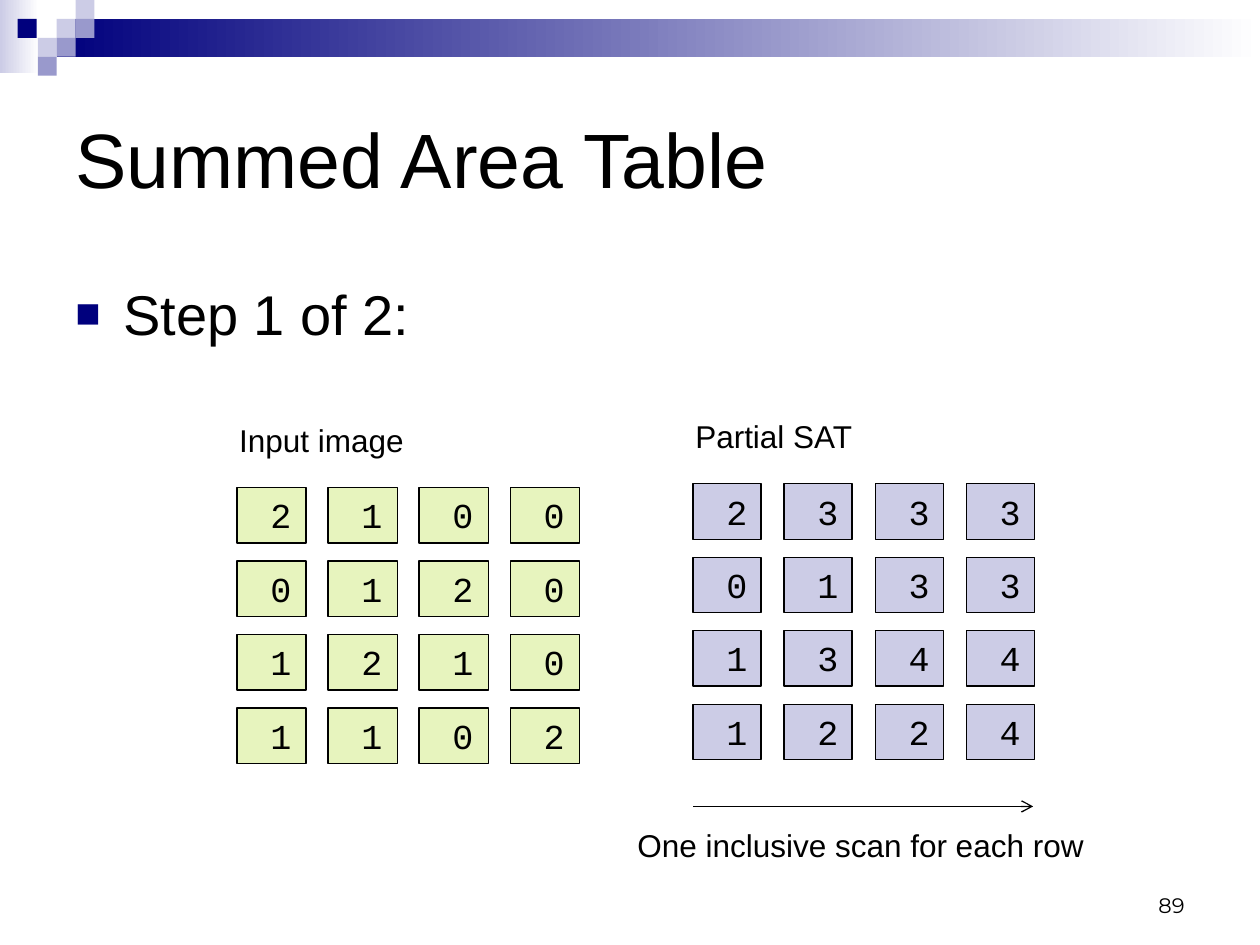
"""Build the slide on the first step of a summed area table."""
from lxml import etree
from pptx import Presentation
from pptx.dml.color import RGBColor
from pptx.enum import shapes, text
from pptx.oxml import ns
from pptx.util import Inches, Pt

BLACK = RGBColor(0x00, 0x00, 0x00)
WHITE = RGBColor(0xFF, 0xFF, 0xFF)
NAVY = RGBColor(0x00, 0x00, 0x7D)
MID = RGBColor(0x99, 0x99, 0xCC)
PALE = RGBColor(0xCC, 0xCC, 0xE6)
LIME = RGBColor(0xE7, 0xF4, 0xBE)
LEFT, RIGHT = text.PP_ALIGN.LEFT, text.PP_ALIGN.RIGHT
TOP, MIDDLE, BOTTOM = (text.MSO_ANCHOR.TOP, text.MSO_ANCHOR.MIDDLE,
                       text.MSO_ANCHOR.BOTTOM)


def write(shape, words, size, face="Arial", side=LEFT, anchor=TOP, wrap=True):
    frame = shape.text_frame
    frame.text = words
    para = frame.paragraphs[0]
    para.alignment = side
    for name, value in {"word_wrap": wrap, "vertical_anchor": anchor}.items():
        setattr(frame, name, value)
    font = para.runs[0].font
    for name, value in {"size": Pt(size), "name": face}.items():
        setattr(font, name, value)
    font.color.rgb = BLACK
    return para


def block(left, top, width, height, color, fade=False):
    shape = slide.shapes.add_shape(
        shapes.MSO_SHAPE.RECTANGLE, *map(Inches, (left, top, width, height)))
    shape.shadow.inherit = False
    shape.line.fill.background()
    if fade:
        shape.fill.gradient()
        shape.fill.gradient_angle = 0
        for stop, tone in zip(shape.fill.gradient_stops, (color, WHITE)):
            stop.color.rgb = tone
    else:
        shape.fill.solid()
        shape.fill.fore_color.rgb = color
    return shape


deck = Presentation()
deck.slide_width, deck.slide_height = Inches(10), Inches(7.5)
slide = deck.slides.add_slide(deck.slide_layouts[5])

block(0, 0, 0.31, 0.58, PALE, fade=True)
block(0.45, 0.15, 9.55, 0.3, NAVY, fade=True)
for left, top, color in [
    (0.45, 0.15, PALE), (0.6, 0, PALE), (0.6, 0.15, MID), (0.3, 0.3, PALE),
    (0.14, 0.15, NAVY), (0.45, 0.3, MID), (0.3, 0.45, MID),
]:
    block(left, top, 0.15, 0.15, color)

title = slide.shapes.title
place = {"left": 0.5, "top": 0.5, "width": 9, "height": 1.5}
for name, value in place.items():
    setattr(title, name, Inches(value))
write(title, "Summed Area Table", 44, anchor=MIDDLE)

grids = [
    (1.88, 3.87, 0.55, LIME, ["2100", "0120", "1210", "1102"]),
    (5.5, 3.84, 0.54, PALE, ["2333", "0133", "1344", "1224"]),
]
for left, top, width, color, rows in grids:
    for row, digits in enumerate(rows):
        for col, digit in enumerate(digits):
            cell = block(left + col * 0.723, top + row * 0.583,
                         width, 0.44, color)
            cell.line.color.rgb = BLACK
            cell.line.width = Pt(0.75)
            write(cell, " " + digit, 20, "Courier New", wrap=False)

labels = [
    (1.8, 3.29, 1.52, "Input image"),
    (5.42, 3.26, 1.46, "Partial SAT"),
    (4.96, 6.51, 3.78, "One inclusive scan for each row"),
]
for left, top, width, words in labels:
    label = slide.shapes.add_textbox(
        *map(Inches, (left, top, width, 0.4)))
    write(label, words, 18, wrap=False)

arrow = slide.shapes.add_connector(
    shapes.MSO_CONNECTOR.STRAIGHT, *map(Inches, (5.5, 6.4, 8.2, 6.4)))
arrow.line.color.rgb = BLACK
arrow.line.width = Pt(0.75)
etree.SubElement(arrow.line._get_or_add_ln(), ns.qn("a:tailEnd"), type="arrow")
etree.SubElement(arrow._element.spPr, ns.qn("a:effectLst"))

step = slide.shapes.add_textbox(*map(Inches, (0.5, 2.17, 3.1, 0.56)))
para = write(step, "Step 1 of 2:", 32)
para.space_before = Pt(6.4)
props = para._p.get_or_add_pPr()
props.set("marL", str(Inches(0.38)))
props.set("indent", str(Inches(-0.38)))
tint = etree.SubElement(props, ns.qn("a:buClr"))
etree.SubElement(tint, ns.qn("a:srgbClr"), val=str(NAVY))
etree.SubElement(props, ns.qn("a:buSzPct"), val="75000")
etree.SubElement(props, ns.qn("a:buFont"), typeface="Arial")
etree.SubElement(props, ns.qn("a:buChar"), char="■")

number = slide.shapes.add_textbox(*map(Inches, (7.17, 6.83, 2.33, 0.5)))
write(number, "89", 12, "Montserrat", RIGHT, BOTTOM)

deck.save("out.pptx")
